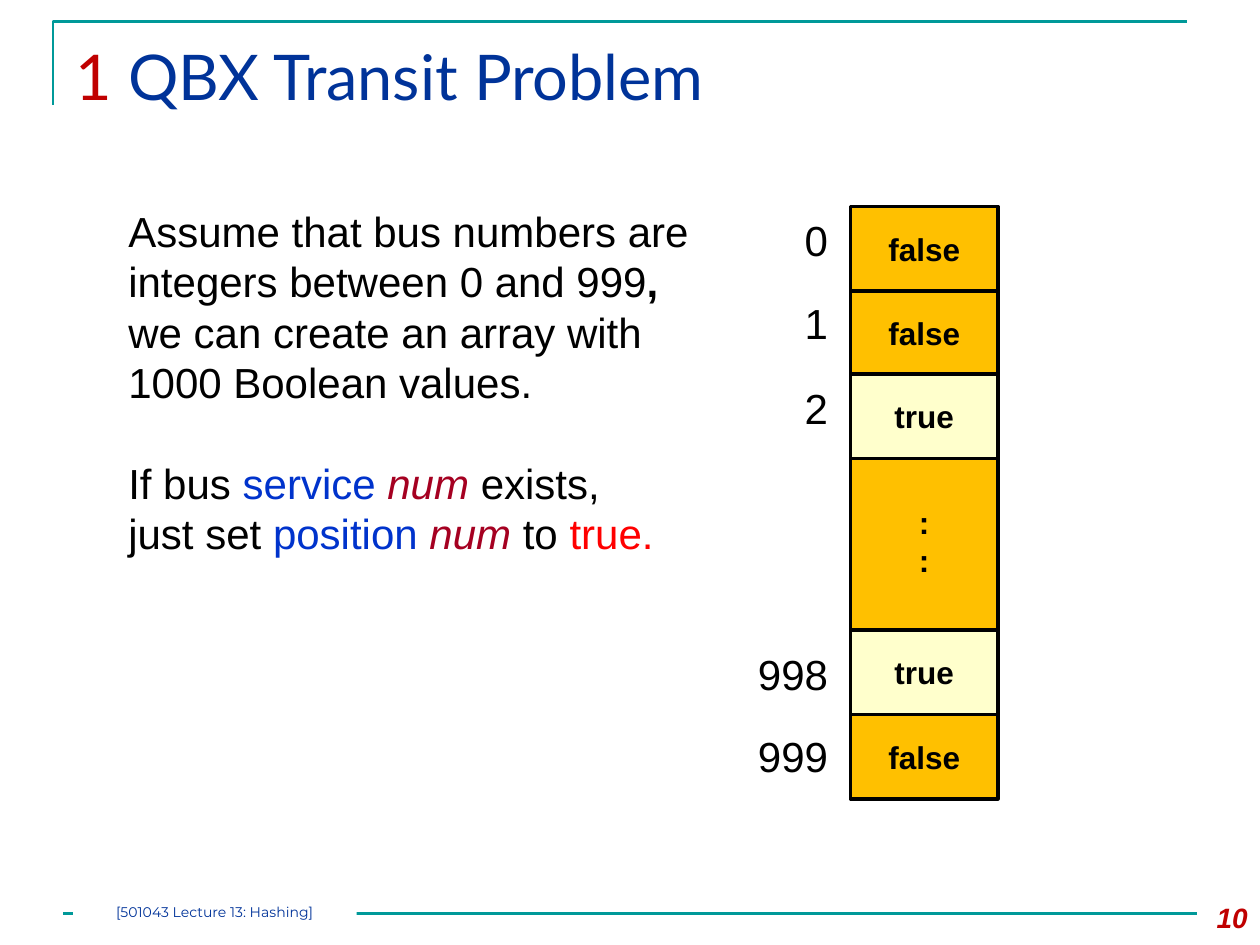
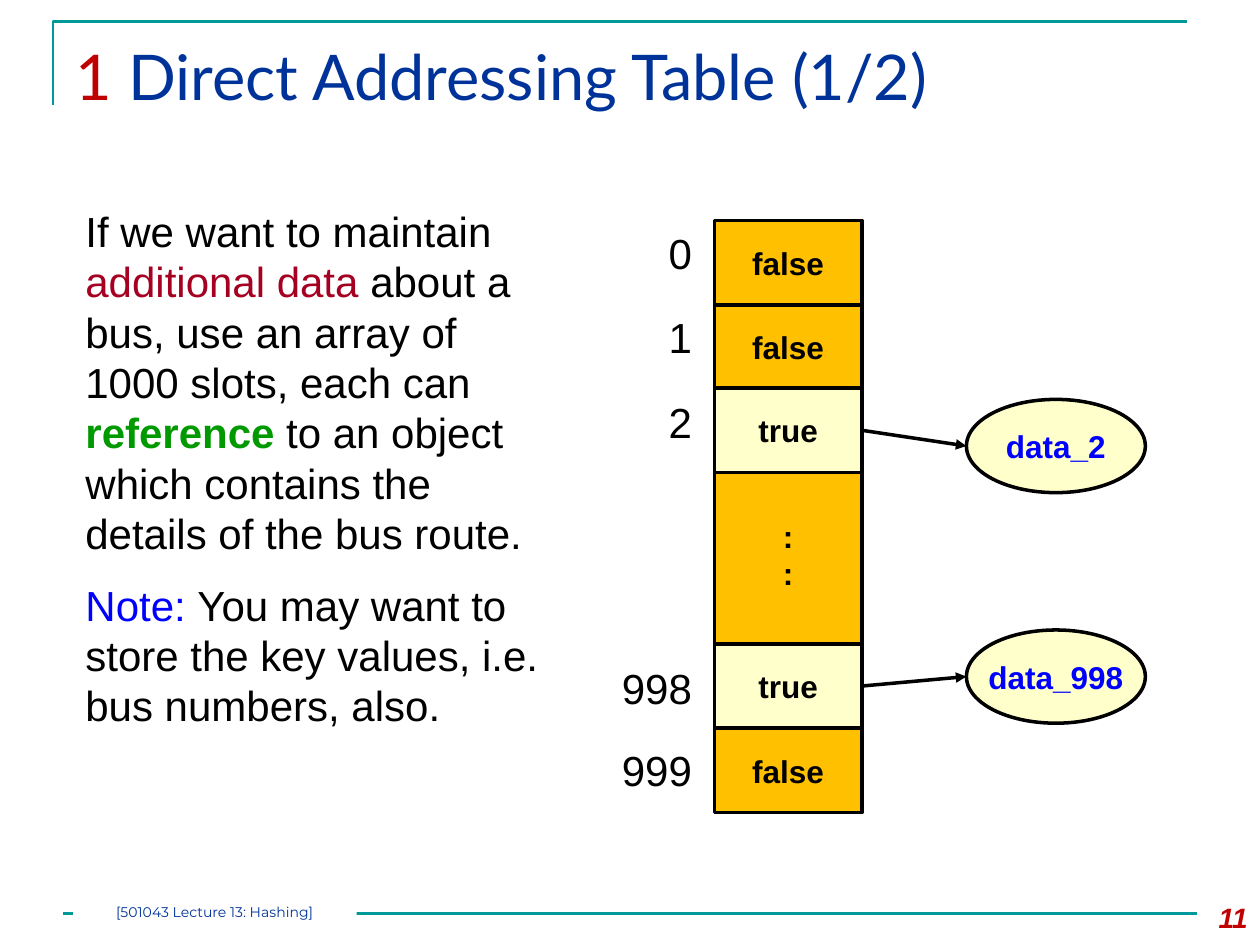
import pptx
import pptx.util
import pptx.dml.color
import pptx.enum.shapes
import pptx.enum.text
import pptx.oxml
import pptx.oxml.ns

Inches = pptx.util.Inches
Pt = pptx.util.Pt
Shapes = pptx.enum.shapes.MSO_SHAPE
Align = pptx.enum.text.PP_ALIGN
Anchor = pptx.enum.text.MSO_ANCHOR

COLOURS = {
    "black": "000000", "white": "FFFFFF", "teal": "009999", "navy": "003399",
    "crimson": "C00000", "maroon": "A50021", "royal": "0033CC", "blue": "0000FF",
    "red": "FF0000", "green": "009900", "amber": "FFC000", "cream": "FFFFCC",
}
CELL_WIDTH, CELL_HEIGHT = 1.17, 0.67
DOTS_TOP, DOTS_HEIGHT = 1.94, 1.42
SLOTS = [
    ("0", "false", 0, 0.01),
    ("1", "false", 0.67, 0.67),
    ("2", "true", 1.33, 1.35),
    ("998", "true", 3.36, 3.46),
    ("999", "false", 4.03, 4.11),
]


class SlideBuilder:
    def __init__(self, deck):
        self.deck = deck
        self.page = None

    def colour(self, name):
        return pptx.dml.color.RGBColor.from_string(COLOURS[name])

    def start_page(self, title, number):
        self.page = self.deck.slides.add_slide(self.deck.slide_layouts[5])
        self.corner()
        self.line((0.5, 7.25), (9.5, 7.25), "teal", 1.5)
        self.title(title)
        self.text((9.33, 7.1, 0.67, 0.4), [[(str(number), "crimson", "bi")]],
                  size=16, align=Align.RIGHT)
        footer = self.shape(Shapes.RECTANGLE, (0.58, 7.17, 2.25, 0.17), "white", None)
        frame = footer.text_frame
        frame.margin_left = frame.margin_right = frame.margin_top = frame.margin_bottom = 0
        frame.vertical_anchor = Anchor.TOP
        self.add_text(frame, [[("[501043 Lecture 13: Hashing]", "navy")]], 8,
                      Align.CENTER, "Montserrat")

    def place(self, box, area):
        box.left, box.top, box.width, box.height = [Inches(length) for length in area]

    def add_text(self, frame, paragraphs, size, align=Align.LEFT, font="Arial", space=0):
        for index, spans in enumerate(paragraphs):
            para = frame.add_paragraph() if index else frame.paragraphs[0]
            para.alignment = align
            para.space_before = Pt(space)
            for words, colour, *style in spans:
                span = para.add_run()
                span.text = words
                span.font.name = font
                span.font.size = Pt(size)
                span.font.bold = "b" in "".join(style)
                span.font.italic = "i" in "".join(style)
                span.font.color.rgb = self.colour(colour)

    def title(self, words):
        box = self.page.shapes.title
        self.place(box, (0.5, 0.25, 9, 0.86))
        box.text_frame.vertical_anchor = Anchor.TOP
        self.add_text(box.text_frame, [[("1 ", "crimson"), (words, "navy")]], 36,
                      font="Lato")

    def text(self, area, paragraphs, size=24, align=Align.LEFT, wrap=True, space=0):
        box = self.page.shapes.add_textbox(*[Inches(length) for length in area])
        box.text_frame.word_wrap = wrap
        self.add_text(box.text_frame, paragraphs, size, align, space=space)

    def shape(self, kind, area, fill, line="black"):
        box = self.page.shapes.add_shape(kind, *[Inches(length) for length in area])
        box.shadow.inherit = False
        box.fill.solid()
        box.fill.fore_color.rgb = self.colour(fill)
        if line:
            box.line.color.rgb = self.colour(line)
            box.line.width = Pt(2)
        else:
            box.line.fill.background()
        return box

    def node(self, kind, area, fill, lines, colour="black"):
        box = self.shape(kind, area, fill)
        box.text_frame.word_wrap = False
        box.text_frame.vertical_anchor = Anchor.MIDDLE
        self.add_text(box.text_frame, [[(words, colour, "b")] for words in lines],
                      18, Align.CENTER)
        return box

    def corner(self):
        builder = self.page.shapes.build_freeform(Inches(0.42), Inches(0.83))
        builder.add_line_segments(
            [(Inches(0.42), Inches(0.17)), (Inches(9.42), Inches(0.17))], close=False)
        outline = builder.convert_to_shape()
        outline.shadow.inherit = False
        outline.fill.background()
        outline.line.color.rgb = self.colour("teal")
        outline.line.width = Pt(1.5)

    def line(self, start, end, colour, width):
        connector = self.page.shapes.add_connector(
            pptx.enum.shapes.MSO_CONNECTOR.STRAIGHT,
            *[Inches(length) for length in start + end])
        connector.line.color.rgb = self.colour(colour)
        connector.line.width = Pt(width)
        connector._element.spPr.append(pptx.oxml.parse_xml(
            "<a:effectLst %s/>" % pptx.oxml.ns.nsdecls("a")))
        return connector

    def arrow(self, cell, start, end):
        connector = self.line(start, end, "black", 2)
        connector.begin_connect(cell, 3)
        connector._element.spPr.get_or_add_ln().append(pptx.oxml.parse_xml(
            '<a:tailEnd type="triangle" %s/>' % pptx.oxml.ns.nsdecls("a")))

    def array(self, left, top):
        self.node(Shapes.RECTANGLE, (left, top + DOTS_TOP, CELL_WIDTH, DOTS_HEIGHT),
                  "amber", [":", ":"])
        cells = {}
        for index, value, cell_offset, label_offset in SLOTS:
            fill = "cream" if value == "true" else "amber"
            cells[index] = self.node(
                Shapes.RECTANGLE, (left, top + cell_offset, CELL_WIDTH, CELL_HEIGHT),
                fill, [value])
            width = 0.92 if len(index) > 1 else 0.58
            self.text((left - 0.08 - width, top + label_offset, width, 0.5),
                      [[(index, "black")]], align=Align.RIGHT)
        return cells


def transit_page(slides):
    slides.start_page("QBX Transit Problem", 10)
    slides.text((0.92, 1.58, 4.79, 1.72), [
        [("Assume that bus numbers are", "black")],
        [("integers between 0 and 999", "black"), (",", "black", "b")],
        [("we can create an array with", "black")],
        [("1000 Boolean values.", "black")],
    ], wrap=False)
    slides.text((0.92, 3.58, 4.41, 0.91), [
        [("If bus ", "black"), ("service ", "royal"), ("num", "maroon", "i"),
         (" exists,", "black")],
        [("just set ", "black"), ("position ", "royal"), ("num", "maroon", "i"),
         (" to ", "black"), ("true.", "red")],
    ], wrap=False)
    slides.array(6.75, 1.64)


def addressing_page(slides):
    slides.start_page("Direct Addressing Table (1/2)", 11)
    slides.text((0.58, 1.58, 3.83, 4.31), [
        [("If we want to maintain ", "black"), ("additional data", "maroon"),
         (" about a bus, use an array of 1000 slots, each can ", "black"),
         ("reference", "green", "b"),
         (" to an object which contains the details of the bus route.", "black")],
        [("Note: ", "blue"),
         ("You may want to store the key values, i.e. bus numbers, also.", "black")],
    ], space=12)
    cells = slides.array(5.67, 1.75)
    for index, top, start_y in [("2", 3.17, 3.42), ("998", 5, 5.44)]:
        slides.node(Shapes.OVAL, (7.67, top, 1.42, 0.74), "cream",
                    ["data_" + index], "blue")
        slides.arrow(cells[index], (6.84, start_y), (7.67, top + 0.37))


def main():
    deck = pptx.Presentation()
    deck.slide_width, deck.slide_height = Inches(10), Inches(7.5)
    slides = SlideBuilder(deck)
    transit_page(slides)
    addressing_page(slides)
    deck.save("out.pptx")


if __name__ == "__main__":
    main()
